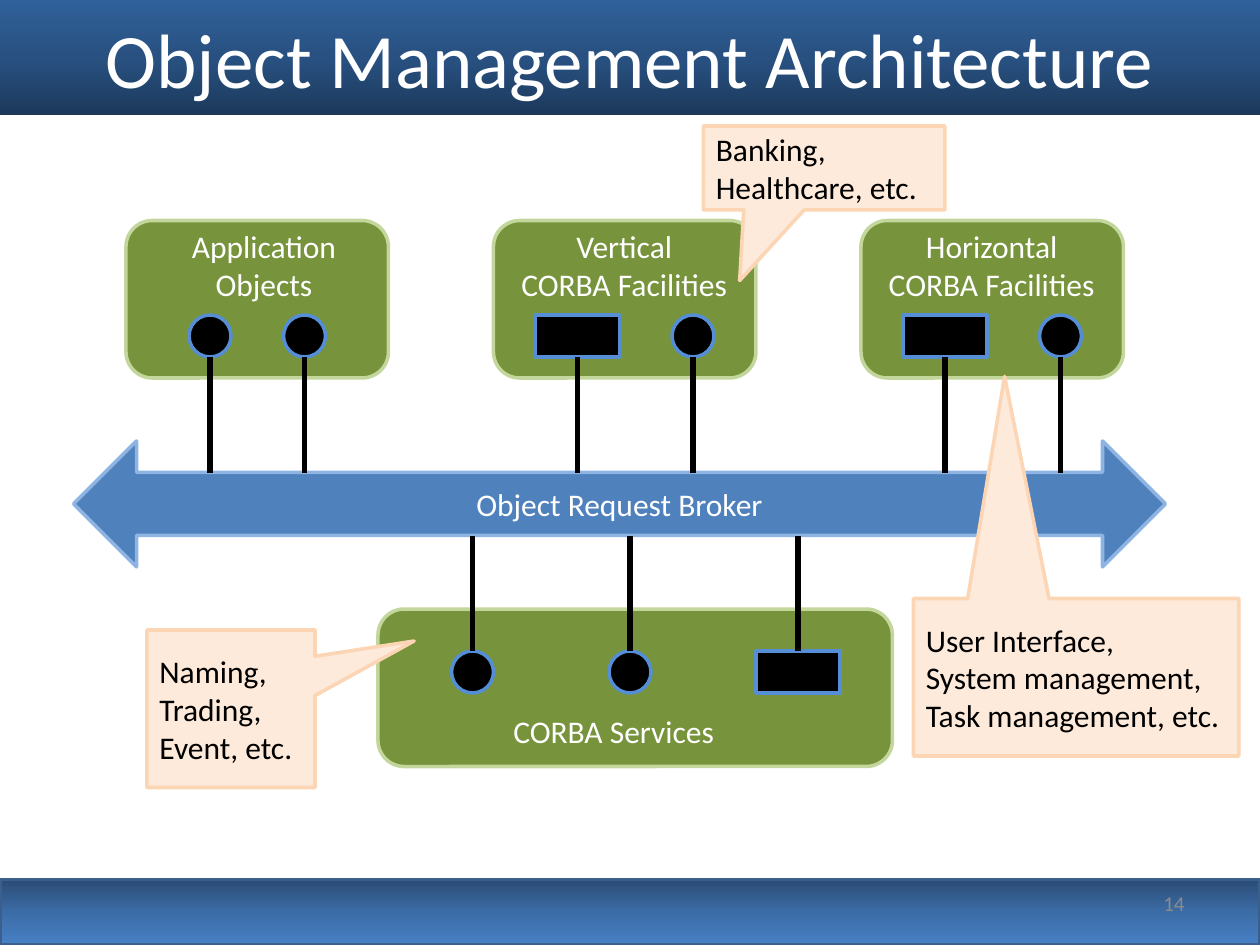
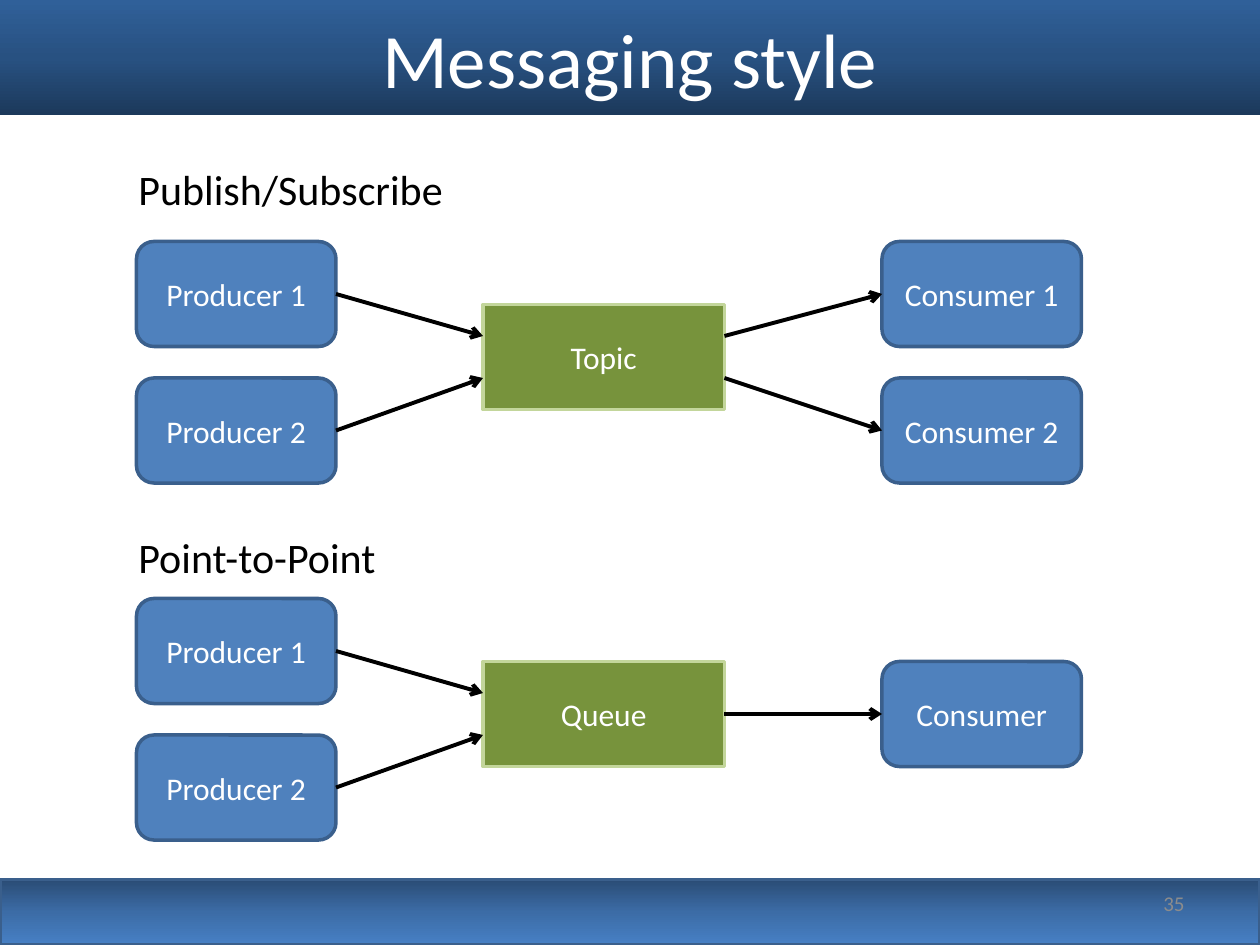
from lxml import etree
from pptx import Presentation
from pptx.dml.color import RGBColor
from pptx.enum.shapes import MSO_CONNECTOR, MSO_SHAPE as Preset
from pptx.enum.text import MSO_ANCHOR as Anchor, MSO_AUTO_SIZE as AutoSize, PP_ALIGN as Align
from pptx.oxml.ns import qn
from pptx.util import Cm, Pt

FONT = "Calibri"
WHITE = RGBColor(0xFF, 0xFF, 0xFF)
BLACK = RGBColor(0x00, 0x00, 0x00)
GREY = RGBColor(0x8C, 0x8C, 0x8C)
BLUE = RGBColor(0x4F, 0x81, 0xBD)
DARK_BLUE = RGBColor(0x3A, 0x5F, 0x8C)
LIGHT_BLUE = RGBColor(0x8E, 0xB4, 0xE3)
MID_BLUE = RGBColor(0x55, 0x8E, 0xD5)
GREEN = RGBColor(0x77, 0x93, 0x3C)
LIGHT_GREEN = RGBColor(0xC3, 0xD6, 0x9B)
PEACH = RGBColor(0xFD, 0xEA, 0xDA)
DARK_PEACH = RGBColor(0xFC, 0xD5, 0xB5)
TITLE_STOPS = (RGBColor(0x1C, 0x39, 0x5B), RGBColor(0x28, 0x51, 0x81), RGBColor(0x30, 0x60, 0x99))
FOOTER_STOPS = (RGBColor(0x2A, 0x4C, 0x75), RGBColor(0x3C, 0x6C, 0xA6), RGBColor(0x47, 0x80, 0xC5))

UNITS_PER_INCH = 12
TERMINAL_HEIGHT = 4
NODE_HEIGHT = 10
NODE_WIDTH = 19
HUB_WIDTH = 23
PRODUCER_LEFT, HUB_LEFT, CONSUMER_LEFT = 13, 46, 84
ROW_STEP = 13
HUB_DROP = 6


def grid(*units):
    return [Cm(unit * 2.54 / UNITS_PER_INCH) for unit in units]


def write(shape, text, size=18, color=WHITE, align=Align.CENTER, anchor=Anchor.MIDDLE):
    frame = shape.text_frame
    frame.text = text
    frame.vertical_anchor = anchor
    for para in frame.paragraphs:
        para.alignment = align
        for span in para.runs:
            span.font.name = FONT
            span.font.size = Pt(size)
            span.font.color.rgb = color


def fill_gradient(shape, stops, degrees):
    properties = shape.element.spPr
    gradient = etree.SubElement(properties, qn("a:gradFill"), rotWithShape="1")
    stop_list = etree.SubElement(gradient, qn("a:gsLst"))
    for index, color in enumerate(stops):
        stop = etree.SubElement(stop_list, qn("a:gs"), pos=str(index * 50000))
        etree.SubElement(stop, qn("a:srgbClr"), val=str(color))
    etree.SubElement(gradient, qn("a:lin"), ang=str(degrees * 60000), scaled="0")


def outline(shape, color):
    shape.shadow.inherit = False
    shape.line.color.rgb = color
    shape.line.width = Pt(2)


def add_box(shapes, preset, area, fill, line):
    box = shapes.add_shape(preset, *grid(*area))
    box.fill.solid()
    box.fill.fore_color.rgb = fill
    outline(box, line)
    return box


def add_line(shapes, start, end, width, arrow=False):
    line = shapes.add_connector(MSO_CONNECTOR.STRAIGHT, *grid(*start, *end))
    line.line.color.rgb = BLACK
    line.line.width = Pt(width)
    if arrow:
        etree.SubElement(line.line._get_or_add_ln(), qn("a:tailEnd"), type="arrow")
    etree.SubElement(line.element.spPr, qn("a:effectLst"))


def add_label(shapes, text, area, **style):
    label = shapes.add_textbox(*grid(*area))
    write(label, text, anchor=Anchor.TOP, **style)
    label.text_frame.word_wrap = False
    label.text_frame.auto_size = AutoSize.SHAPE_TO_FIT_TEXT


def add_page(deck, title, number):
    page = deck.slides.add_slide(deck.slide_layouts[5])
    footer = page.shapes.add_shape(Preset.RECTANGLE, *grid(0, 83.75, 120, 6.25))
    fill_gradient(footer, FOOTER_STOPS, 90)
    outline(footer, DARK_BLUE)

    heading = page.shapes.title
    heading.left, heading.top, heading.width, heading.height = grid(0, 0, 120, 11)
    fill_gradient(heading, TITLE_STOPS, 270)
    write(heading, title, 44)

    number_box = page.shapes.add_textbox(*grid(86, 83.65, 28, 4.8))
    number_box.text_frame.word_wrap = True
    write(number_box, number, 12, GREY, Align.RIGHT)
    return page


def add_terminal(shapes, kind, center, top, line_top, line_bottom):
    preset, width = (Preset.OVAL, 4) if kind == "circle" else (Preset.RECTANGLE, 8)
    area = (center - width / 2, top, width, TERMINAL_HEIGHT)
    add_box(shapes, preset, area, BLACK, MID_BLUE)
    add_line(shapes, (center, line_top), (center, line_bottom), 3)


def add_card(shapes, area, text, label_area):
    add_box(shapes, Preset.ROUNDED_RECTANGLE, area, GREEN, LIGHT_GREEN)
    add_label(shapes, text, label_area)


def add_callout(shapes, text, area, tip):
    callout = add_box(shapes, Preset.RECTANGULAR_CALLOUT, area, PEACH, DARK_PEACH)
    callout.adjustments[0], callout.adjustments[1] = tip
    write(callout, text, color=BLACK, align=Align.LEFT)


def build_architecture(deck):
    page = add_page(deck, "Object Management Architecture", "14")
    diagram = page.shapes.add_group_shape().shapes
    broker = add_box(diagram, Preset.LEFT_RIGHT_ARROW, (7, 42, 104, 12), BLUE, LIGHT_BLUE)
    write(broker, "Object Request Broker")

    upper_cards = (
        (12, "Application\nObjects", (17, 16.3), (("circle", 20), ("circle", 29))),
        (47, "Vertical\nCORBA Facilities", (48, 22.9), (("box", 55), ("circle", 66))),
        (82, "Horizontal\nCORBA Facilities", (83, 22.9), (("box", 90), ("circle", 101))),
    )
    for left, text, (label_left, label_width), terminals in upper_cards:
        add_card(diagram, (left, 21, 25, 15), text, (label_left, 21, label_width, 8.5))
        for kind, center in terminals:
            add_terminal(diagram, kind, center, 30, 34, 45)

    add_card(diagram, (36, 58, 49, 15), "CORBA Services", (47.6, 67.2, 21.7, 4.8))
    for kind, center in (("circle", 45), ("circle", 60), ("box", 76)):
        add_terminal(diagram, kind, center, 62, 51, 62)

    notes = page.shapes.add_group_shape().shapes
    add_callout(notes, "Naming,\nTrading,\nEvent, etc.", (14, 60, 16, 15), (1.09, -0.43))
    add_callout(notes, "User Interface,\nSystem management,\nTask management, etc.",
                (87, 57, 31, 15), (-0.22, -1.91))
    add_callout(notes, "Banking,\nHealthcare, etc.", (67, 12, 23, 8), (-0.35, 1.34))


def add_node(shapes, text, left, top):
    area = (left, top, NODE_WIDTH, NODE_HEIGHT)
    write(add_box(shapes, Preset.ROUNDED_RECTANGLE, area, BLUE, DARK_BLUE), text)


def add_message_flow(page, top, hub_name, consumers):
    shapes = page.shapes.add_group_shape().shapes
    hub_top = top + HUB_DROP
    hub_middle = hub_top + NODE_HEIGHT / 2
    hub_right = HUB_LEFT + HUB_WIDTH
    hub = add_box(shapes, Preset.RECTANGLE, (HUB_LEFT, hub_top, HUB_WIDTH, NODE_HEIGHT),
                  GREEN, LIGHT_GREEN)
    write(hub, hub_name)

    for row, port in enumerate((hub_middle - 2, hub_middle + 2)):
        node_top = top + row * ROW_STEP
        add_node(shapes, f"Producer {row + 1}", PRODUCER_LEFT, node_top)
        add_line(shapes, (PRODUCER_LEFT + NODE_WIDTH, node_top + NODE_HEIGHT / 2),
                 (HUB_LEFT, port), 2.25, arrow=True)

    for text, drop, port_shift in consumers:
        add_node(shapes, text, CONSUMER_LEFT, top + drop)
        add_line(shapes, (hub_right, hub_middle + port_shift),
                 (CONSUMER_LEFT, top + drop + NODE_HEIGHT / 2), 2.25, arrow=True)


def build_messaging(deck):
    page = add_page(deck, "Messaging style", "35")
    add_message_flow(page, 23, "Topic", (("Consumer 1", 0, -2), ("Consumer 2", ROW_STEP, 2)))
    add_message_flow(page, 57, "Queue", (("Consumer", HUB_DROP, 0),))
    for text, top, width in (("Publish/Subscribe", 15, 31.7), ("Point-to-Point", 50, 25.3)):
        add_label(page.shapes, text, (12, top, width, 6), size=24, color=BLACK, align=Align.LEFT)


def main():
    deck = Presentation()
    deck.slide_width, deck.slide_height = Cm(25.4), Cm(19.05)
    build_architecture(deck)
    build_messaging(deck)
    deck.save("out.pptx")


main()
